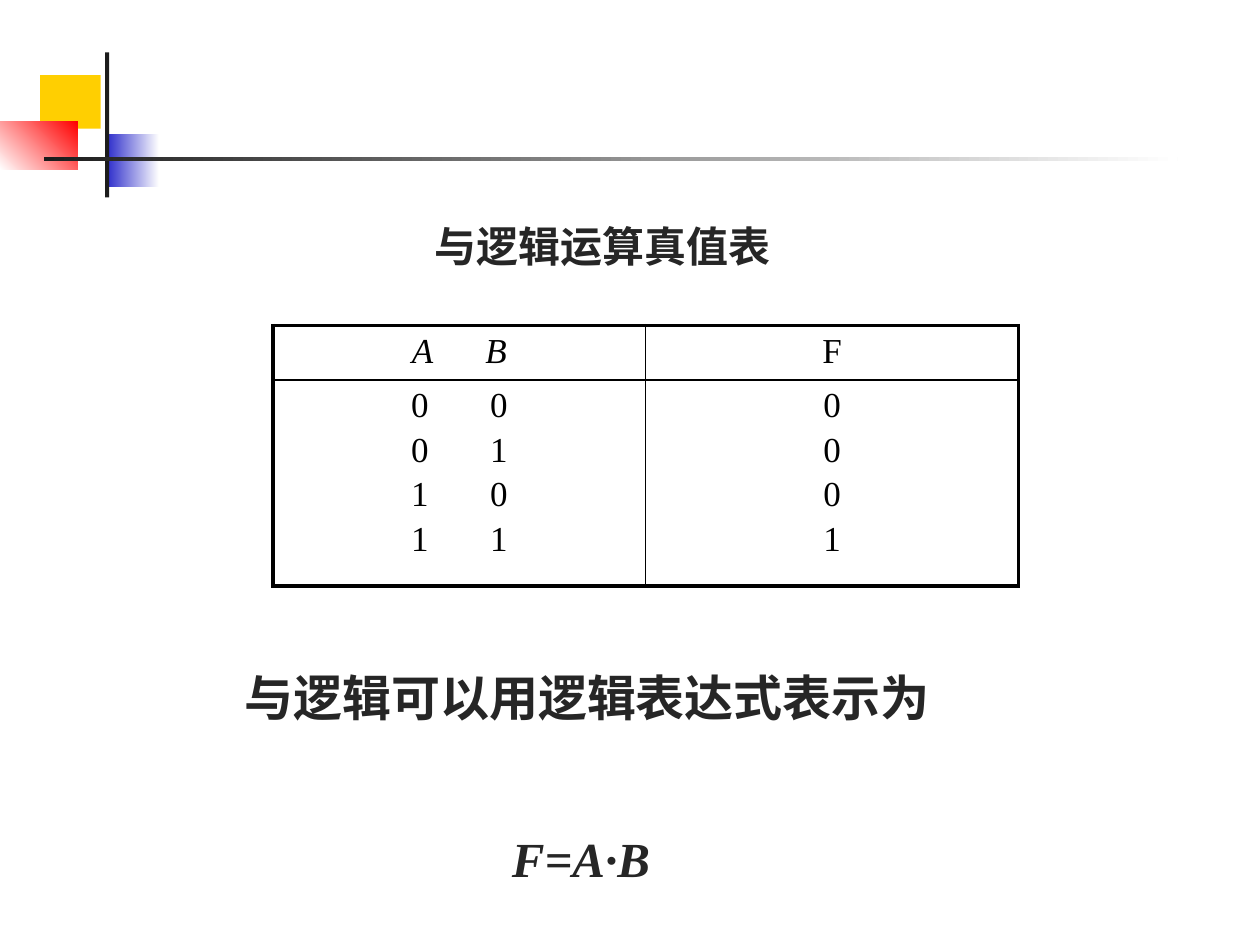
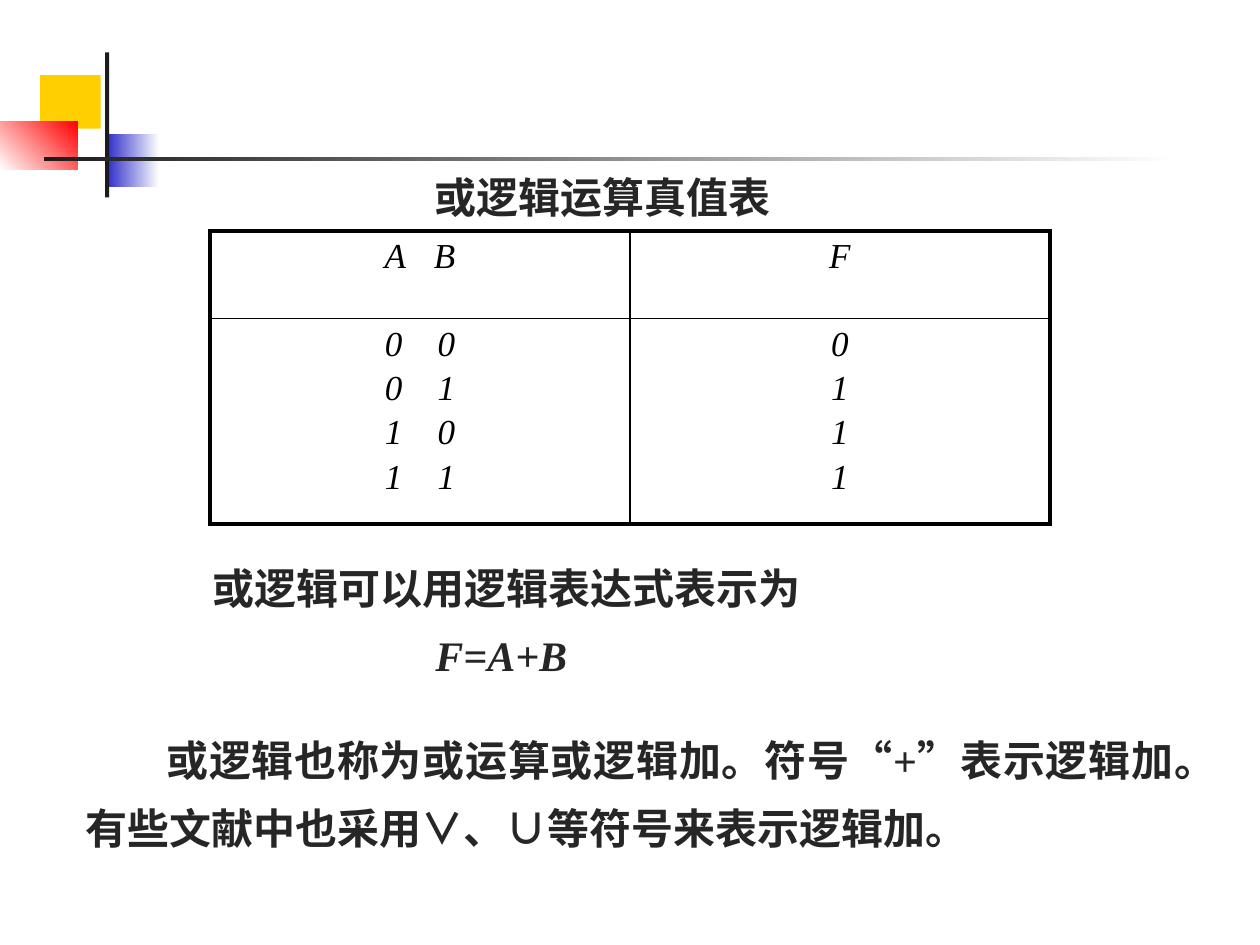
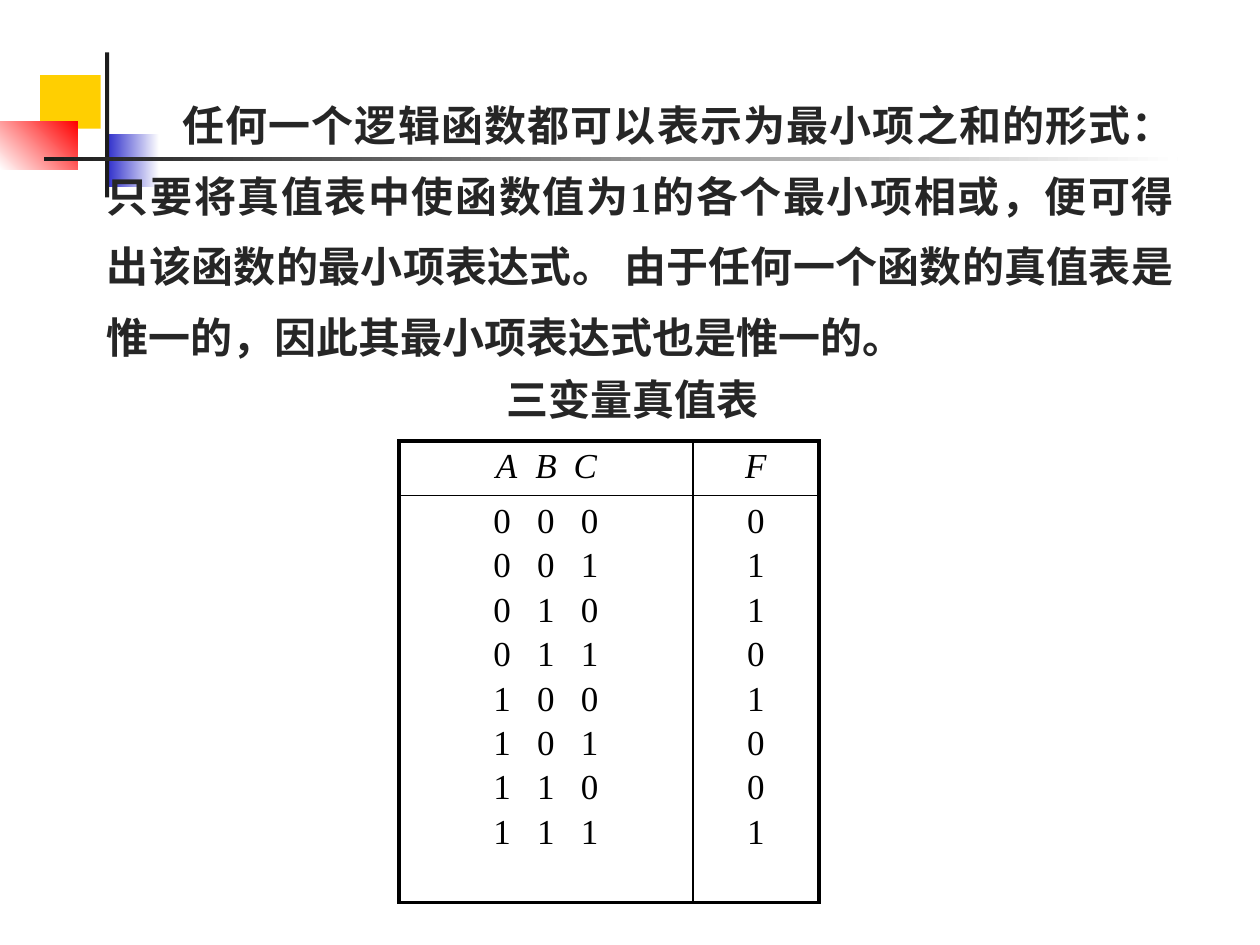
"""Build three slides on truth tables for AND, OR and minterm logic."""
from lxml import etree
from pptx import Presentation, util as u
from pptx.dml.color import RGBColor
from pptx.enum import shapes, text
from pptx.oxml import ns

Pt = u.Pt
COLORS = {"ink": "262626", "black": "000000", "bar": "1C1C1C", "yellow": "FFCF01",
          "blue": "3333CC", "red": "FF0000", "white": "FFFFFF"}
SERIF, MONO = "Times New Roman", "Courier New"
LEFT, CENTER, JUSTIFY = text.PP_ALIGN.LEFT, text.PP_ALIGN.CENTER, text.PP_ALIGN.JUSTIFY
CELL_INSET = 7.2
OUTER_LINE, INNER_LINE = 2.25, 1

DECOR = [
    ((23, 43, 34.5, 30.5), ["yellow"], 0),
    ((62, 76.5, 29, 30.5), ["blue", "white"], 0),
    ((0, 69.5, 44.5, 27.5), ["white", "red"], 45),
    ((60, 30, 2.4, 82.8), ["bar"], 0),
    ((25, 89.75, 648, 2.5), ["bar", "white"], 0),
]

SLIDES = [
    {
        "title": ("与逻辑运算真值表", (241, 122.5, 215, 36)),
        "table": {
            "at": (156, 186), "cols": (213, 213), "rows": (31, 117.5),
            "head": "AB", "head_italic": (True, False), "body_italic": False,
            "pitches": (42, 45), "values": ["000", "010", "100", "111"],
        },
        "boxes": [
            {"at": (129.5, 378, 412, 143), "wrap": False, "size": 28, "paras": [
                {"runs": [("与逻辑可以用逻辑表达式表示为", {})], "align": CENTER},
                {"runs": [("F=A·B ", {"italic": True})], "align": CENTER, "before": 58},
            ]},
        ],
    },
    {
        "title": ("或逻辑运算真值表", (241, 94.5, 215, 36)),
        "table": {
            "at": (120, 132), "cols": (240, 240), "rows": (50, 117.5),
            "head": "AB", "head_italic": (True, True), "body_italic": True,
            "pitches": (28, 30), "values": ["000", "011", "101", "111"],
        },
        "boxes": [
            {"at": (111.5, 318, 356, 80), "wrap": False, "size": 24, "paras": [
                {"runs": [("或逻辑可以用逻辑表达式表示为", {})], "align": CENTER},
                {"runs": [("F=A+B ", {"italic": True})], "align": CENTER},
            ]},
            {"at": (42, 406, 636, 81), "wrap": True, "size": 24, "paras": [
                {"runs": [
                    ("或逻辑也称为或运算或逻辑加。符号", {}),
                    ("“", {"name": MONO}), ("+", {}), ("”", {"name": MONO}),
                    ("表示逻辑加。有些文献中也采用∨、∪等符号来表示逻辑加。 ", {}),
                ], "align": JUSTIFY, "spacing": 1.35, "indent": 46},
            ]},
        ],
    },
    {
        "title": ("三变量真值表", (282, 210, 167, 36)),
        "table": {
            "at": (228, 252), "cols": (168, 72), "rows": (31, 232.5),
            "head": "ABC", "head_italic": (True, True), "body_italic": False,
            "pitches": (22.5, 25),
            "values": ["0000", "0011", "0101", "0110", "1001", "1010", "1100", "1111"],
        },
        "boxes": [
            {"at": (54, 42, 624, 168), "wrap": True, "size": 24, "paras": [
                {"runs": [(
                    "任何一个逻辑函数都可以表示为最小项之和的形式： "
                    "只要将真值表中使函数值为1的各个最小项相或，便可得出该函数的最小项表达式。 "
                    "由于任何一个函数的真值表是惟一的，因此其最小项表达式也是惟一的。 ", {})],
                 "align": JUSTIFY, "spacing": 1.4, "indent": 43},
            ]},
        ],
    },
]


def rgb(name):
    """Return a named colour."""
    return RGBColor.from_string(COLORS[name])


def assign(target, values):
    """Set each named attribute on the target."""
    for name, value in values.items():
        setattr(target, name, value)


def place(box, frame):
    """Move and size a box in points."""
    assign(box, dict(zip(("left", "top", "width", "height"), map(Pt, frame))))


def add_run(para, words, size, color="ink", **font):
    """Add a formatted run to a paragraph."""
    span = para.add_run()
    span.text = words
    assign(span.font, {"name": SERIF, "size": Pt(size), **font})
    span.font.color.rgb = rgb(color)


def add_decor(page, layout):
    """Draw the corner blocks and bars on the shared layout."""
    for frame, names, angle in DECOR:
        box = page.shapes.add_shape(shapes.MSO_SHAPE.RECTANGLE, *map(Pt, frame))
        box.shadow.inherit = False
        box.line.fill.background()
        if len(names) == 1:
            box.fill.solid()
            box.fill.fore_color.rgb = rgb(names[0])
        else:
            box.fill.gradient()
            box.fill.gradient_angle = angle
            for stop, name in zip(box.fill.gradient_stops, names):
                stop.color.rgb = rgb(name)
        layout.shapes.element.append(box.element)


def fill_box(box, paras, size, wrap):
    """Write bold paragraphs into a box that grows with its text."""
    frame = box.text_frame
    assign(frame, {"word_wrap": wrap, "auto_size": text.MSO_AUTO_SIZE.SHAPE_TO_FIT_TEXT,
                   "vertical_anchor": text.MSO_ANCHOR.TOP})
    for index, item in enumerate(paras):
        para = frame.add_paragraph() if index else frame.paragraphs[0]
        assign(para, {"alignment": item["align"], "line_spacing": item.get("spacing"),
                      "space_before": Pt(item.get("before", size * 0.4))})
        if "indent" in item:
            para._p.get_or_add_pPr().set("indent", str(Pt(item["indent"])))
        for words, font in item["runs"]:
            add_run(para, words, size, **{"bold": True, **font})


def add_tabs(para, stops):
    """Give a paragraph centred tab stops."""
    tabs = etree.SubElement(para._p.get_or_add_pPr(), ns.qn("a:tabLst"))
    for stop in stops:
        etree.SubElement(tabs, ns.qn("a:tab"), pos=str(Pt(stop)), algn="ctr")


def add_borders(cell, widths):
    """Draw black borders in left, right, top, bottom order."""
    for side, width in zip("LRTB", widths):
        line = etree.SubElement(cell._tc.get_or_add_tcPr(), ns.qn(f"a:ln{side}"), w=str(Pt(width)))
        fill = etree.SubElement(line, ns.qn("a:solidFill"))
        etree.SubElement(fill, ns.qn("a:srgbClr"), val=COLORS["black"])
    cell.fill.background()


def fill_cell(cell, lines, italic, width, pitch):
    """Write lines of symbols, spread evenly about the cell's middle."""
    for index, symbols in enumerate(lines):
        para = cell.text_frame.add_paragraph() if index else cell.text_frame.paragraphs[0]
        count = len(symbols)
        assign(para, {"alignment": LEFT if count > 1 else CENTER, "space_before": Pt(3.2)})
        if count > 1:
            middle = width / 2 - CELL_INSET
            add_tabs(para, [middle + (i - (count - 1) / 2) * pitch for i in range(count)])
        words = "".join("\t" + symbol for symbol in symbols) if count > 1 else symbols
        add_run(para, words, 20, "black", italic=italic)


def add_truth_table(page, data):
    """Add a truth table with a header row and one body row."""
    cols, rows = data["cols"], data["rows"]
    frame = (*data["at"], sum(cols), sum(rows))
    table = page.shapes.add_table(2, 2, *map(Pt, frame)).table
    assign(table, {"first_row": False, "horz_banding": False})
    for column, width in zip(table.columns, cols):
        column.width = Pt(width)
    for row, height in zip(table.rows, rows):
        row.height = Pt(height)
    inputs = [value[:-1] for value in data["values"]]
    outputs = [value[-1] for value in data["values"]]
    content = [[[data["head"]], ["F"]], [inputs, outputs]]
    italics = [data["head_italic"], (data["body_italic"],) * 2]
    for r in range(2):
        for c in range(2):
            cell = table.cell(r, c)
            fill_cell(cell, content[r][c], italics[r][c], cols[c], data["pitches"][r])
            edges = (c == 0, c == 1, r == 0, r == 1)
            add_borders(cell, [OUTER_LINE if edge else INNER_LINE for edge in edges])


def main():
    """Build and save the deck."""
    deck = Presentation()
    assign(deck, {"slide_width": Pt(720), "slide_height": Pt(540)})
    layout = deck.slide_layouts[5]
    for number, item in enumerate(SLIDES):
        page = deck.slides.add_slide(layout)
        if number == 0:
            add_decor(page, layout)
        words, frame = item["title"]
        place(page.shapes.title, frame)
        fill_box(page.shapes.title, [{"runs": [(words, {})], "align": LEFT}], 24, False)
        add_truth_table(page, item["table"])
        for data in item["boxes"]:
            box = page.shapes.add_textbox(*map(Pt, data["at"]))
            fill_box(box, data["paras"], data["size"], data["wrap"])
    deck.save("out.pptx")


if __name__ == "__main__":
    main()
